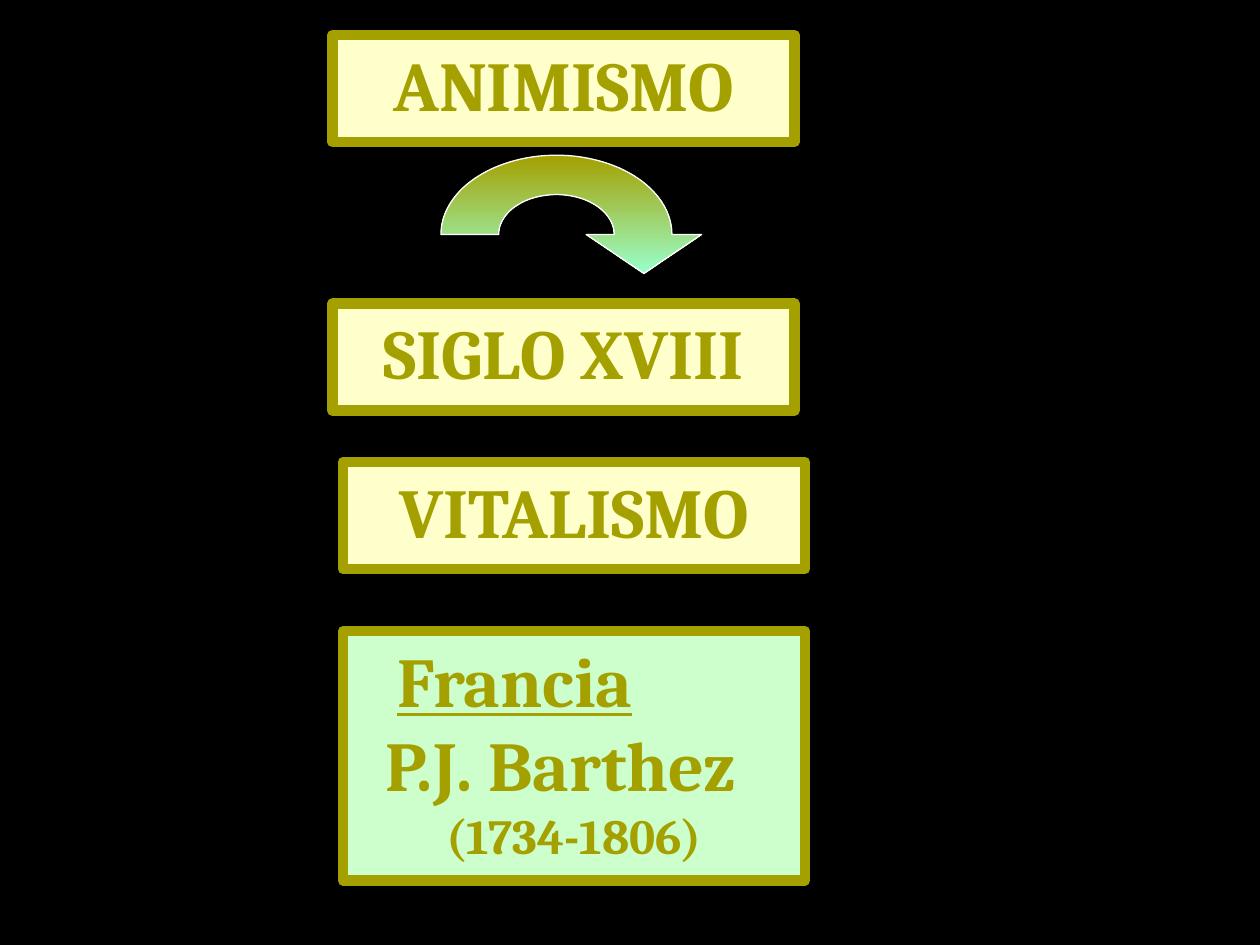
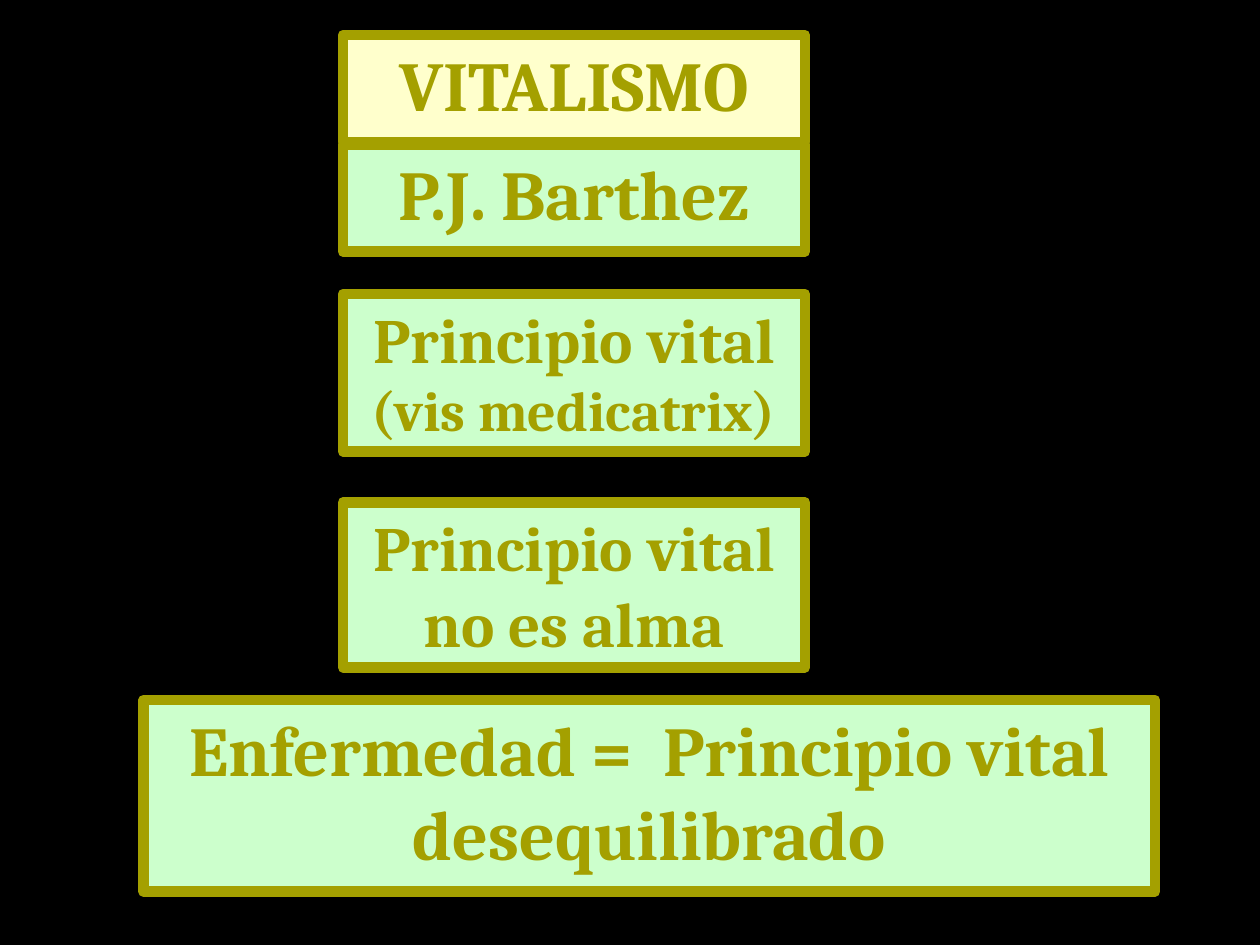
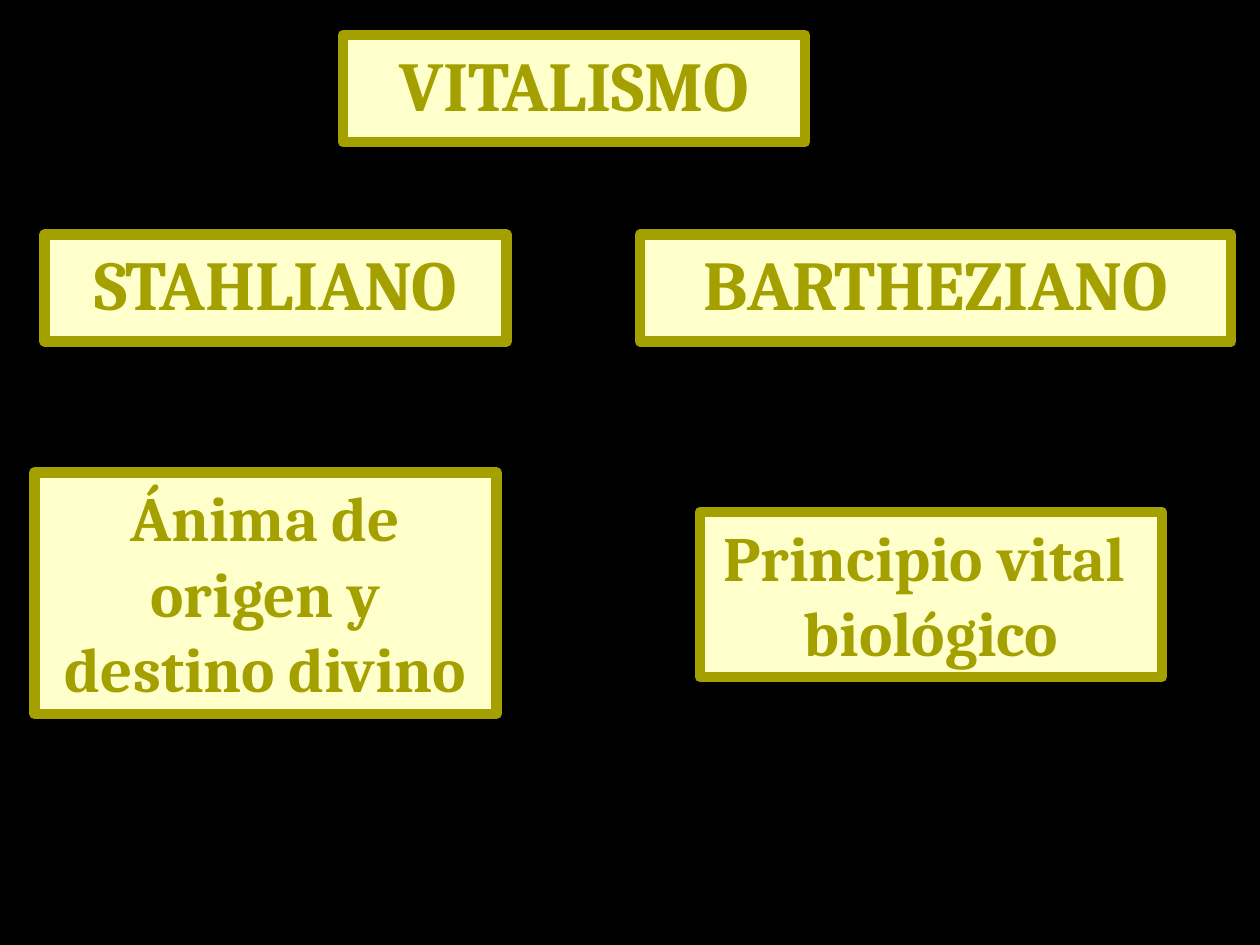
import math
from pptx import Presentation
from pptx import util as u
from pptx.dml.color import RGBColor
from pptx.enum import shapes, text

hues = {"night": "000000", "olive": "A4A000", "cream": "FFFFCC",
        "mint": "CCFFCC", "aqua": "99FFCC", "white": "FFFFFF"}
rgb = {name: RGBColor.from_string(code) for name, code in hues.items()}
face = {"name": "Cambria", "bold": True}
body = {"word_wrap": True, "auto_size": text.MSO_AUTO_SIZE.NONE,
        "vertical_anchor": text.MSO_ANCHOR.TOP,
        "margin_left": u.Pt(7.2), "margin_right": u.Pt(7.2),
        "margin_top": u.Pt(3.6), "margin_bottom": u.Pt(3.6)}

wide, low, two = 264, 61.2, 94.3   # box width, heights for one and two lines
mid, top = 196, 20                 # main column and heading edge


def style(box, fill, lines):
    """Paint a box; lines hold runs (words, size, underline) and an indent."""
    box.fill.solid()
    box.fill.fore_color.rgb = rgb[fill]
    box.line.color.rgb = rgb["olive"]
    box.line.width = u.Pt(6)
    frame = box.text_frame
    for key, val in body.items():
        setattr(frame, key, val)
    for i, (runs, dent) in enumerate(lines):
        para = frame.add_paragraph() if i else frame.paragraphs[0]
        para.alignment = text.PP_ALIGN.LEFT if dent else text.PP_ALIGN.CENTER
        if dent:
            para._p.get_or_add_pPr().set("marL", str(u.Pt(dent)))
        for words, size, under in runs:
            run = para.add_run()
            run.text = words
            look = {**face, "size": u.Pt(size), "underline": under}
            for key, val in look.items():
                setattr(run.font, key, val)
            run.font.color.rgb = rgb["olive"]


def plain(words, size=40):
    return [([(words, size, None)], 0)]


# Content: heading, its left edge, then boxes (place, fill, lines)
deck = [
    ("ANIMISMO", 190, [
        ((190, 173.5, wide, low), "cream", plain("SIGLO XVIII")),
        ((mid, 264, wide, low), "cream", plain("VITALISMO")),
        ((mid, 360.7, wide, 142.5), "mint", [
            ([("Francia", 40, True)], 24),
            ([("P.J. Barthez", 40, None)], 17),
            ([("(1734-1806)", 28, None)], 0)]),
    ]),
    ("VITALISMO", mid, [
        ((mid, 82.6, wide, low), "mint", plain("P.J. Barthez")),
        ((mid, 168, wide, 90), "mint",
         [([("Principio vital ", 36, None), ("(vis medicatrix)", 32, None)], 0)]),
        ((mid, 287, wide, two), "mint", plain("Principio vital no es alma", 36)),
        ((82, 400, 578, 109.5), "mint",
         plain("Enfermedad =  Principio vital desequilibrado")),
    ]),
    ("VITALISMO", mid, [
        ((25.5, 134, wide, low), "cream", plain("STAHLIANO")),
        ((19.7, 270, wide, 138), "cream",
         plain("Ánima de origen y destino divino", 36)),
        ((365.8, 134, 337.7, low), "cream", plain("BARTHEZIANO")),
        ((400, 292.5, wide, two), "cream",
         plain("Principio vital  biológico", 36)),
    ]),
]

show = Presentation()
show.slide_width, show.slide_height = u.Pt(720), u.Pt(540)
back = show.slide_master.background.fill
back.solid()
back.fore_color.rgb = rgb["night"]

# Slides with heading and boxes
for head, left, boxes in deck:
    slide = show.slides.add_slide(show.slide_layouts[5])
    title = slide.shapes.title
    spot = {"left": left, "top": top, "width": wide, "height": low}
    for key, val in spot.items():
        setattr(title, key, u.Pt(val))
    style(title, "cream", plain(head))
    for place, fill, lines in boxes:
        box = slide.shapes.add_shape(shapes.MSO_SHAPE.RECTANGLE,
                                     *map(u.Pt, place))
        box.shadow.inherit = False
        style(box, fill, lines)

# Curved arrow on the first slide: outer arc, head, inner arc
hub, base = 318, 134
turn = [math.radians(a) for a in range(0, 181, 3)]
outer = [(hub - 66 * math.cos(a), base - 45.3 * math.sin(a)) for a in turn]
inner = [(hub + 33 * math.cos(a), base - 22.8 * math.sin(a)) for a in turn]
tip = [(401, base), (368, 156.3), (335, base)]
dots = [(u.Pt(x), u.Pt(y)) for x, y in outer + tip + inner]
pen = show.slides[0].shapes.build_freeform(*dots[0])
pen.add_line_segments(dots[1:], close=True)
arrow = pen.convert_to_shape()
arrow.shadow.inherit = False
arrow.fill.gradient()
arrow.fill.gradient_angle = 270
for stop, hue, spot in zip(arrow.fill.gradient_stops, ("olive", "aqua"), (0, 1)):
    stop.color.rgb = rgb[hue]
    stop.position = spot
arrow.line.color.rgb = rgb["white"]
arrow.line.width = u.Pt(0.75)

show.save("out.pptx")
